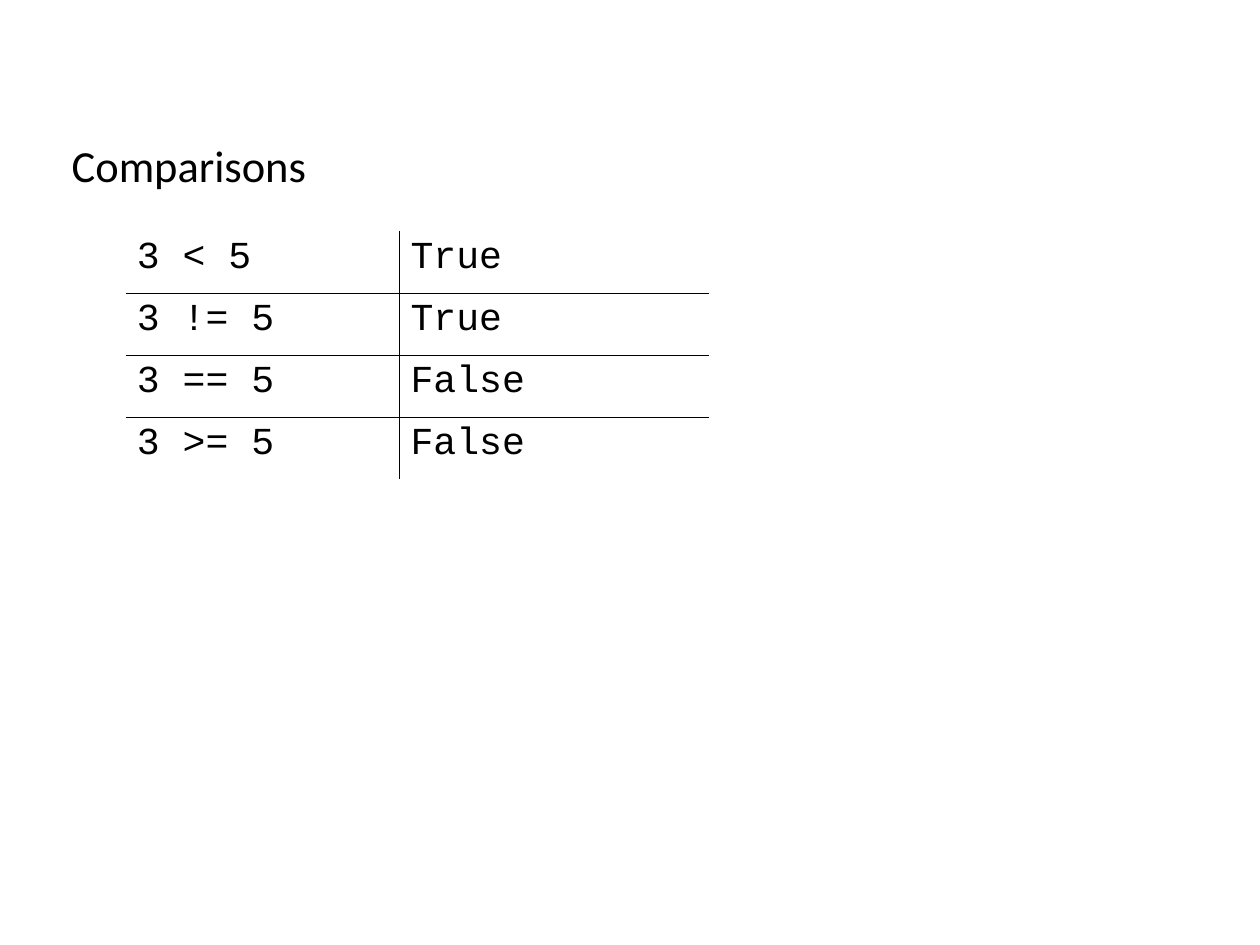
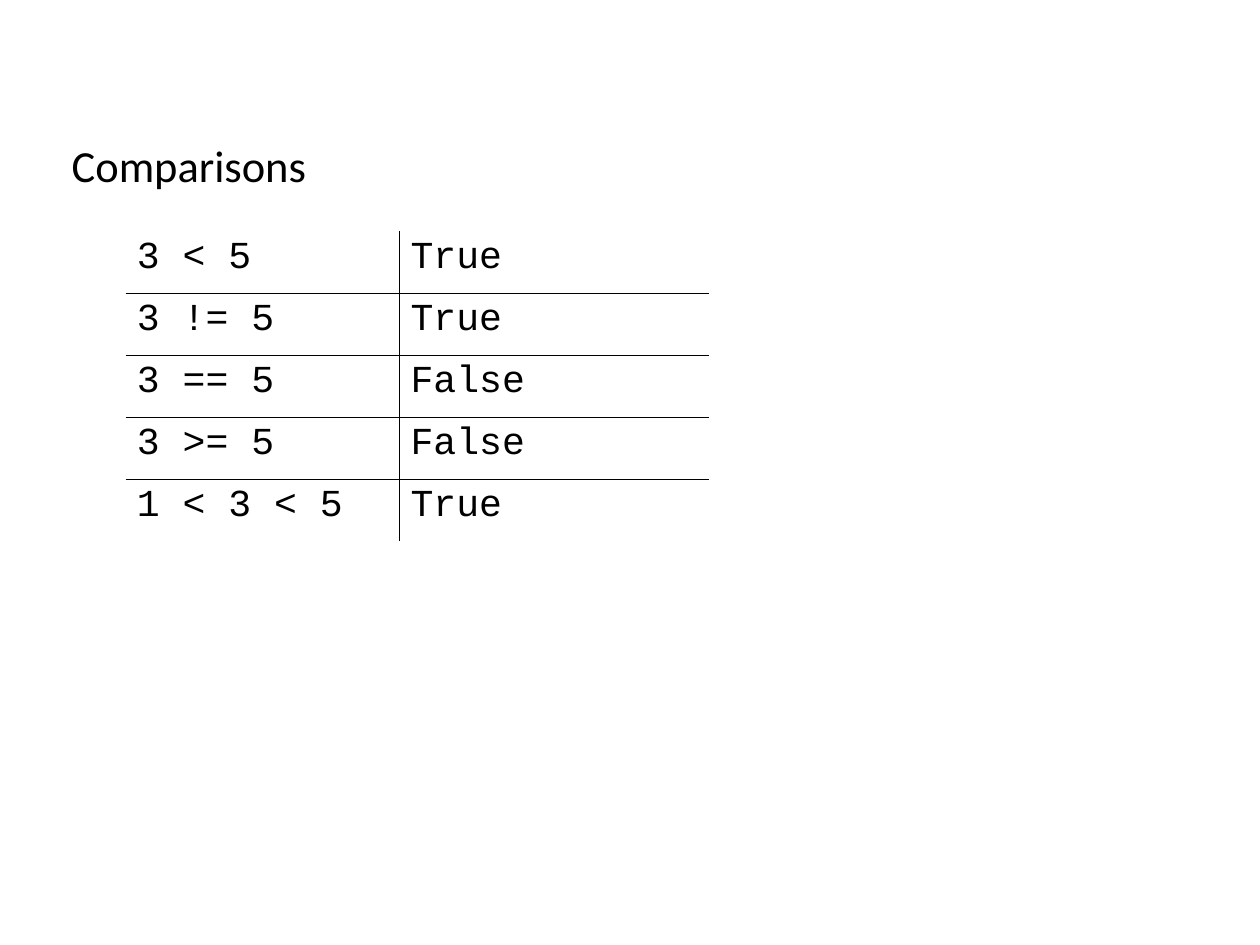
from lxml.etree import SubElement
from pptx import Presentation
from pptx.dml.color import RGBColor
from pptx.enum.text import MSO_ANCHOR, MSO_AUTO_SIZE, PP_ALIGN
from pptx.oxml.ns import qn
from pptx.util import Pt

# Shared look; lengths are in px, 100 to the centimetre
EMU_PER_PX = 3600
SLIDE_SIZE = (2800, 2100)
COLOURS = {"background": "FFFFFF", "text": "000000", "rule": "000000"}
TITLE_FONT, CODE_FONT = "Calibri", "Courier New"
TITLE_BOX = (134, 234, 826, 203)
TABLE_LEFT, TABLE_TOP = 279, 513
COLUMN_WIDTHS = (608, 688)
ROW_HEIGHT = 138
RULE_WIDTH = Pt(0.45)
PLAIN_TABLE_STYLE = "{2D5ABB26-0587-4C30-8999-92F81FD0307C}"

# Content
COMPARISONS = [
    ("3 < 5", "True"),
    ("3 != 5", "True"),
    ("3 == 5", "False"),
    ("3 >= 5", "False"),
]
CHAINED_COMPARISON = ("1 < 3 < 5", "True")


def px(length):
    return length * EMU_PER_PX


def add_run(paragraph, text, font_name, size):
    run = paragraph.add_run()
    run.text = text
    run.font.name = font_name
    run.font.size = Pt(size)
    run.font.color.rgb = RGBColor.from_string(COLOURS["text"])


def set_title(slide, text):
    title = slide.shapes.title
    title.left, title.top, title.width, title.height = map(px, TITLE_BOX)
    frame = title.text_frame
    frame.word_wrap = True
    frame.auto_size = MSO_AUTO_SIZE.SHAPE_TO_FIT_TEXT
    frame.vertical_anchor = MSO_ANCHOR.TOP
    paragraph = frame.paragraphs[0]
    paragraph.alignment = PP_ALIGN.LEFT
    paragraph.line_spacing = 1.5
    add_run(paragraph, text, TITLE_FONT, 28)


def add_border(cell, side):
    properties = cell._tc.get_or_add_tcPr()
    line = SubElement(properties, qn(f"a:ln{side}"), w=str(RULE_WIDTH))
    fill = SubElement(line, qn("a:solidFill"))
    SubElement(fill, qn("a:srgbClr"), val=COLOURS["rule"])


def fill_cell(cell, text, sides):
    # Borders come before the fill in the cell properties
    for side in sides:
        add_border(cell, side)
    cell.fill.background()
    paragraph = cell.text_frame.paragraphs[0]
    paragraph.line_spacing = 0.93
    paragraph.space_after = Pt(14.3)
    add_run(paragraph, text, CODE_FONT, 24)


def add_code_table(slide, rows):
    last_row, last_column = len(rows) - 1, len(COLUMN_WIDTHS) - 1
    frame = slide.shapes.add_table(
        len(rows), len(COLUMN_WIDTHS), px(TABLE_LEFT), px(TABLE_TOP),
        px(sum(COLUMN_WIDTHS)), px(ROW_HEIGHT * len(rows)))
    table = frame.table
    table.first_row = table.horz_banding = False
    table._tbl.tblPr.find(qn("a:tableStyleId")).text = PLAIN_TABLE_STYLE
    for column, width in zip(table.columns, COLUMN_WIDTHS):
        column.width = px(width)
    for row_index, texts in enumerate(rows):
        table.rows[row_index].height = px(ROW_HEIGHT)
        for column_index, text in enumerate(texts):
            # Only the inner edges of the grid are ruled
            inner_edges = {
                "L": column_index > 0,
                "R": column_index < last_column,
                "T": row_index > 0,
                "B": row_index < last_row,
            }
            sides = [side for side, ruled in inner_edges.items() if ruled]
            fill_cell(table.cell(row_index, column_index), text, sides)


def add_comparison_slide(presentation, rows):
    slide = presentation.slides.add_slide(presentation.slide_layouts[5])
    set_title(slide, "Comparisons")
    add_code_table(slide, rows)


def main():
    presentation = Presentation()
    presentation.slide_width, presentation.slide_height = map(px, SLIDE_SIZE)
    background = presentation.slide_master.background.fill
    background.solid()
    background.fore_color.rgb = RGBColor.from_string(COLOURS["background"])

    # The second slide adds the chained comparison
    add_comparison_slide(presentation, COMPARISONS)
    add_comparison_slide(presentation, COMPARISONS + [CHAINED_COMPARISON])
    presentation.save("out.pptx")


if __name__ == "__main__":
    main()
